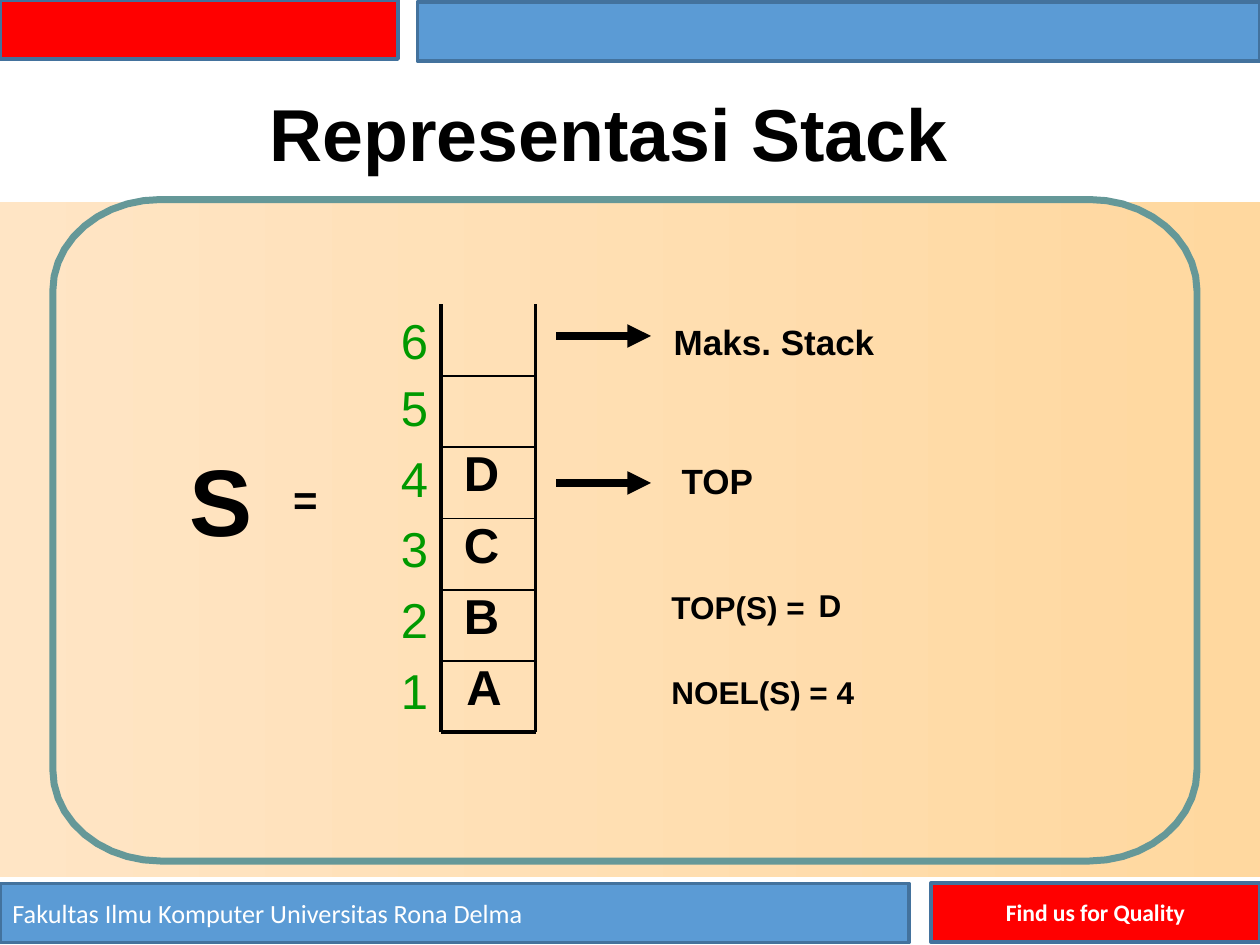
from math import cos, radians, sin

from lxml.etree import SubElement
from pptx import Presentation
from pptx.dml.color import RGBColor
from pptx.enum.shapes import MSO_CONNECTOR, MSO_SHAPE
from pptx.enum.text import MSO_ANCHOR, MSO_AUTO_SIZE, PP_ALIGN
from pptx.oxml.ns import qn
from pptx.util import Pt

COLORS = {name: RGBColor.from_string(value) for name, value in {
    "red": "FF0000", "blue": "5B9BD5", "border": "43729D", "frame": "659898",
    "sand": "FFE5C5", "amber": "FFD89F", "green": "009900",
    "black": "000000", "white": "FFFFFF",
}.items()}


def write(holder, lines, size, color="black", bold=True, font="Arial",
          margins=(0, 0, 0, 0), anchor=MSO_ANCHOR.TOP, **paragraph_format):
    """Fill a shape with paragraphs that share one format."""
    frame = holder.text_frame
    left, top, right, bottom = (Pt(margin) for margin in margins)
    for key, value in {
        "word_wrap": True, "auto_size": MSO_AUTO_SIZE.NONE, "vertical_anchor": anchor,
        "margin_left": left, "margin_top": top,
        "margin_right": right, "margin_bottom": bottom,
    }.items():
        setattr(frame, key, value)
    for index, line in enumerate(lines):
        paragraph = frame.paragraphs[0] if index == 0 else frame.add_paragraph()
        for key, value in {"alignment": PP_ALIGN.LEFT, **paragraph_format}.items():
            setattr(paragraph, key, value)
        run = paragraph.add_run()
        run.text = line
        for key, value in {"name": font, "size": Pt(size), "bold": bold}.items():
            setattr(run.font, key, value)
        run.font.color.rgb = COLORS[color]


def draw_line(x1, y1, x2, y2, width):
    line = slide.shapes.add_connector(
        MSO_CONNECTOR.STRAIGHT, Pt(x1), Pt(y1), Pt(x2), Pt(y2))
    line.line.color.rgb = COLORS["black"]
    line.line.width = Pt(width)
    SubElement(line._element.spPr, qn("a:effectLst"))
    return line


prs = Presentation()
prs.slide_width, prs.slide_height = Pt(720), Pt(540)
slide = prs.slides.add_slide(prs.slide_layouts[5])

# Background band
band = slide.shapes.add_shape(MSO_SHAPE.RECTANGLE, 0, Pt(115.2), Pt(720), Pt(385.9))
band.shadow.inherit = False
band.line.fill.background()
band.fill.gradient()
band.fill.gradient_angle = 0
for stop, color in zip(band.fill.gradient_stops, ("sand", "amber")):
    stop.color.rgb = COLORS[color]

# Header and footer bars
bars = []
for left, top, width, color in (
    (0, 0, 227.5, "red"),
    (238.5, 1.2, 481.5, "blue"),
    (0, 504.8, 519.4, "blue"),
    (532, 504.5, 188, "red"),
):
    bar = slide.shapes.add_shape(
        MSO_SHAPE.RECTANGLE, Pt(left), Pt(top), Pt(width), Pt(33.8))
    bar.shadow.inherit = False
    bar.fill.solid()
    bar.fill.fore_color.rgb = COLORS[color]
    bar.line.color.rgb = COLORS["border"]
    bar.line.width = Pt(2)
    bars.append(bar)
footer_format = {"color": "white", "font": "Calibri", "margins": (7.2, 3.6, 7.2, 3.6),
                 "anchor": MSO_ANCHOR.MIDDLE}
write(bars[2], ["Fakultas Ilmu Komputer Universitas Rona Delma"], 15, bold=False,
      **footer_format)
write(bars[3], ["Find us for Quality"], 13.5, alignment=PP_ALIGN.CENTER,
      **footer_format)

# Frame with elliptical corners, clockwise from the lower right
RADIUS_X, RADIUS_Y = 61.5, 52
corners = [(622.5, 440), (91.7, 440), (91.7, 166), (622.5, 166)]
outline = [
    (Pt(x + RADIUS_X * cos(radians(angle))), Pt(y + RADIUS_Y * sin(radians(angle))))
    for quarter, (x, y) in enumerate(corners)
    for angle in range(90 * quarter, 90 * quarter + 91, 9)
]
builder = slide.shapes.build_freeform(*outline[0])
builder.add_line_segments(outline[1:], close=True)
panel = builder.convert_to_shape()
panel.shadow.inherit = False
panel.fill.background()
panel.line.color.rgb = COLORS["frame"]
panel.line.width = Pt(4)

# Title
title = slide.shapes.title
title.left, title.top, title.width, title.height = Pt(154), Pt(56.9), Pt(400), Pt(44)
write(title, ["Representasi Stack"], 42, line_spacing=Pt(43.9), space_before=Pt(2.2))

# Stack: open at the top, one row per slot
STACK_LEFT, STACK_RIGHT = 252, 306
STACK_TOP, FIRST_RULE, ROW = 174, 214.75, 40.75
STACK_BOTTOM = FIRST_RULE + 5 * ROW
for row in range(5):
    rule_y = FIRST_RULE + row * ROW
    draw_line(STACK_LEFT, rule_y, STACK_RIGHT, rule_y, 1)
draw_line(STACK_LEFT, STACK_BOTTOM, STACK_RIGHT, STACK_BOTTOM, 2.25)
for wall_x in (STACK_LEFT, STACK_RIGHT):
    draw_line(wall_x, STACK_TOP, wall_x, STACK_BOTTOM, 2.25)

for row, (element, indent, gap) in enumerate(
        (("D", 13, 1.1), ("C", 13, 2.4), ("B", 13, 3.6), ("A", 14.5, 4.8)), start=1):
    slot = slide.shapes.add_textbox(
        Pt(STACK_LEFT), Pt(FIRST_RULE + row * ROW), Pt(54), Pt(ROW))
    write(slot, [element], 28, margins=(indent, 0, 0, 0),
          line_spacing=0.95, space_before=Pt(gap))

numbers = slide.shapes.add_textbox(Pt(229), Pt(181.4), Pt(21), Pt(234))
write(numbers, "654321", 28, color="green", bold=False,
      line_spacing=0.95, space_before=Pt(8.5))
top_number, second_number = numbers.text_frame.paragraphs[:2]
top_number.line_spacing, top_number.space_before = Pt(29.6), Pt(1.5)
second_number.space_before = Pt(7.1)

# Pointers to the limit and the top element
for pointer_y in (192, 276):
    pointer = draw_line(318, pointer_y, 372, pointer_y, 4.5)
    SubElement(pointer.line._get_or_add_ln(), qn("a:tailEnd"), type="triangle")

# Labels
for text, left, top, width, size, spacing in (
    ("Maks. Stack", 385, 185.8, 125, 20, 21.5),
    ("TOP", 389.5, 265, 50, 20, 21.5),
    ("S", 108, 261.4, 46, 54, 56),
    ("=", 167.5, 273.6, 22, 24, 25.5),
    ("D", 467.8, 337, 20, 18, 19.4),
    ("TOP(S) =", 383.7, 338.4, 82, 18, 19.4),
    ("NOEL(S) = 4", 383.7, 386.6, 114, 18, 19.4),
):
    label = slide.shapes.add_textbox(Pt(left), Pt(top), Pt(width), Pt(spacing))
    write(label, [text], size, line_spacing=Pt(spacing), space_before=Pt(size / 18))

prs.save("out.pptx")
